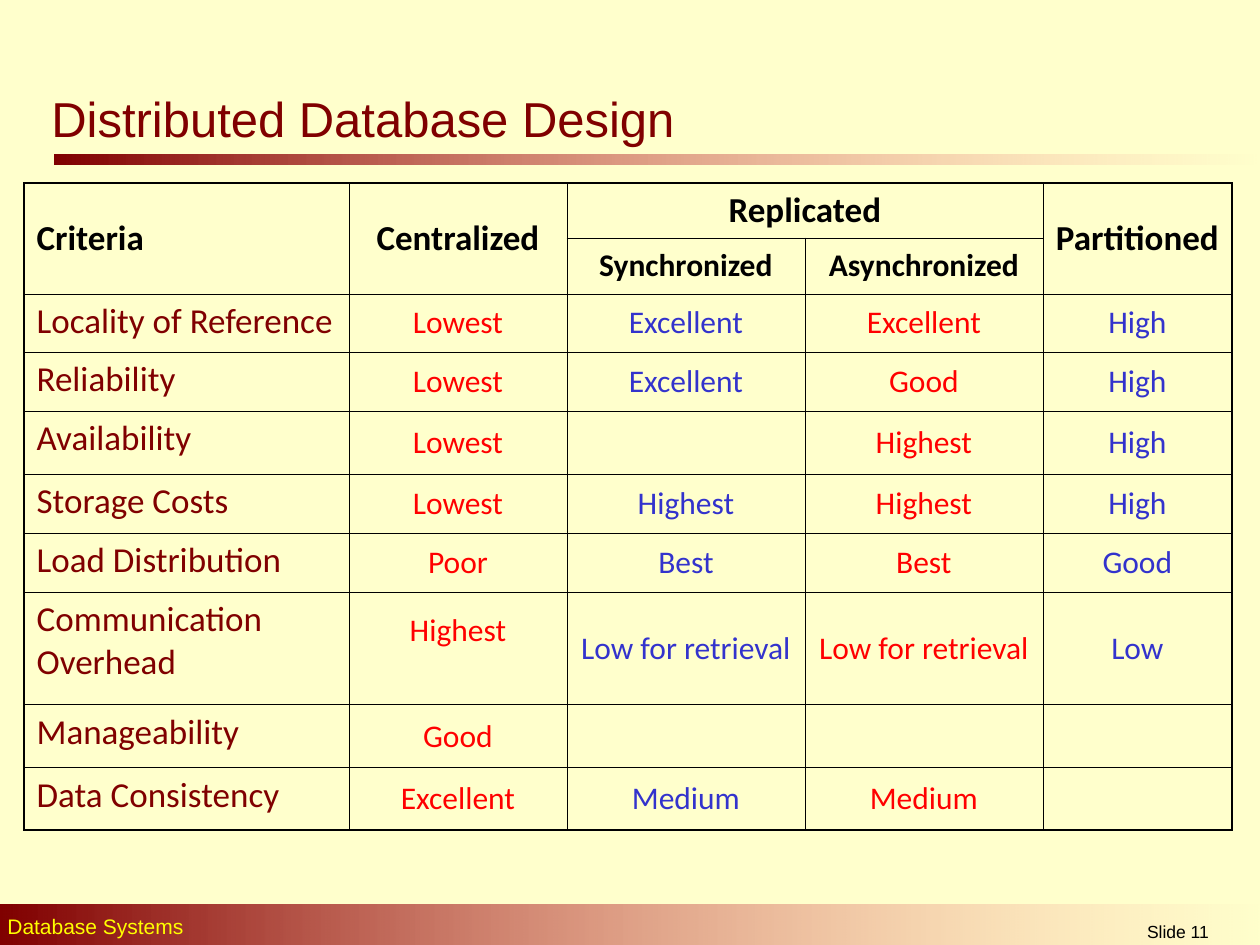
from lxml import etree
from pptx import Presentation
from pptx import util as u
from pptx.dml.color import RGBColor
from pptx.enum import shapes, text
from pptx.oxml.ns import qn

PX = u.Inches(1) / 126
CREAM = RGBColor(0xFF, 0xFF, 0xCC)
MAROON = RGBColor(0x80, 0x00, 0x00)
SALMON = RGBColor(0xFF, 0x85, 0x85)
YELLOW = RGBColor(0xFF, 0xFF, 0x00)
BLACK = RGBColor(0x00, 0x00, 0x00)
RED = RGBColor(0xFF, 0x00, 0x00)
BLUE = RGBColor(0x33, 0x33, 0xCC)

COLUMN_WIDTHS = [325, 218, 238, 238, 189]
ROW_HEIGHTS = [55, 56, 58, 59, 63, 59, 59, 113, 63, 62]
RATING_COLORS = [RED, BLUE, RED, BLUE]
HEADINGS = [
    ["Criteria", "Centralized", "Replicated", "", "Partitioned"],
    ["", "", "Synchronized", "Asynchronized", ""],
]
HEADING_SPANS = [(0, 0, 1, 0), (0, 1, 1, 1), (0, 2, 0, 3), (0, 4, 1, 4)]
RATINGS = [
    ["Locality of Reference", "Lowest", "Excellent", "Excellent", "High"],
    ["Reliability", "Lowest", "Excellent", "Good", "High"],
    ["Availability", "Lowest", "", "Highest", "High"],
    ["Storage Costs", "Lowest", "Highest", "Highest", "High"],
    ["Load Distribution", "Poor", "Best", "Best", "Good"],
    ["Communication Overhead", "Highest", "Low for retrieval", "Low for retrieval", "Low"],
    ["Manageability", "Good", "", "", ""],
    ["Data Consistency", "Excellent", "Medium", "Medium", ""],
]


def px(length):
    """Turn a length in px into EMU."""
    return u.Emu(round(length * PX))


def write(frame, wording, size, color, font="Arial", bold=False, align=text.PP_ALIGN.LEFT, before=0):
    """Put one formatted paragraph into a text frame."""
    frame.text = wording
    paragraph = frame.paragraphs[0]
    paragraph.alignment = align
    paragraph.space_before = u.Pt(before)
    for run in paragraph.runs:
        run.font.size = u.Pt(size)
        run.font.name = font
        run.font.bold = bold
        run.font.color.rgb = color


def add_label(slide, box, wording, size, color, anchor=text.MSO_ANCHOR.TOP, **style):
    """Add a wrapped text box with one line of text."""
    frame = slide.shapes.add_textbox(*map(px, box)).text_frame
    frame.word_wrap = True
    frame.vertical_anchor = anchor
    write(frame, wording, size, color, **style)


def add_fading_bar(slide, box):
    """Add a bar that fades from maroon to clear, left to right."""
    bar = slide.shapes.add_shape(shapes.MSO_SHAPE.RECTANGLE, *map(px, box))
    bar.shadow.inherit = False
    bar.line.fill.background()
    bar.fill.gradient()
    bar.fill.gradient_angle = 0
    for stop, color, position in zip(bar.fill.gradient_stops, (MAROON, SALMON), (0, 1)):
        stop.color.rgb = color
        stop.position = position
    end_color = bar._element.spPr.findall(".//" + qn("a:srgbClr"))[-1]
    etree.SubElement(end_color, qn("a:alpha"), val="0")


def add_header(slide, box):
    """Add the slide title and the rule below it."""
    left, top, width, height = box
    add_label(slide, (left, top, 735, 79), "Distributed Database Design", 28, MAROON,
              anchor=text.MSO_ANCHOR.MIDDLE)
    add_fading_bar(slide, (left + 15, top + height - 10, width - 15, 10))


def add_footer(slide, box):
    """Add the footer band with the course name and slide number."""
    left, top, width, height = box
    add_fading_bar(slide, box)
    add_label(slide, (left - 5, top + 2, 814, 38), "Database Systems", 12, YELLOW, before=7.5)
    add_label(slide, (left + 1047, top + 10, 262, 30), "Slide 11", 10, BLACK,
              align=text.PP_ALIGN.CENTER)


def draw_borders(cell, row, column):
    """Rule a cell with thin inner and thicker outer lines."""
    outer_sides = {
        "L": column == 0,
        "R": column == len(COLUMN_WIDTHS) - 1,
        "T": row == 0,
        "B": row == len(ROW_HEIGHTS) - 1,
    }
    properties = cell._tc.get_or_add_tcPr()
    for side, outer in outer_sides.items():
        width = u.Pt(1.08 if outer else 0.45)
        line = etree.SubElement(properties, qn(f"a:ln{side}"), w=str(int(width)))
        fill = etree.SubElement(line, qn("a:solidFill"))
        etree.SubElement(fill, qn("a:srgbClr"), val=str(BLACK))


def fill_cell(cell, row, column, wording):
    """Write and format one cell of the comparison."""
    draw_borders(cell, row, column)
    cell.fill.background()
    heading = row < len(HEADINGS)
    criterion = column == 0
    if heading or not criterion:
        cell.vertical_anchor = text.MSO_ANCHOR.MIDDLE
    if not wording:
        return
    size = 20 if criterion or row == 0 else 18
    color = BLACK if heading else MAROON if criterion else RATING_COLORS[column - 1]
    write(cell.text_frame, wording, size, color, font="Calibri", bold=heading, before=size / 4,
          align=text.PP_ALIGN.LEFT if criterion else text.PP_ALIGN.CENTER)


def add_comparison(slide, box):
    """Add the table that rates each design by each criterion."""
    rows = HEADINGS + RATINGS
    table = slide.shapes.add_table(len(rows), len(COLUMN_WIDTHS), *map(px, box)).table
    table.first_row = False
    table.horz_banding = False
    for column, width in zip(table.columns, COLUMN_WIDTHS):
        column.width = px(width)
    for row, height in zip(table.rows, ROW_HEIGHTS):
        row.height = px(height)
    for row, wordings in enumerate(rows):
        for column, wording in enumerate(wordings):
            fill_cell(table.cell(row, column), row, column, wording)
    for top, left, bottom, right in HEADING_SPANS:
        table.cell(top, left).merge(table.cell(bottom, right))
    table.cell(7, 1).margin_bottom = px(42)


def main():
    """Build and save the slide."""
    deck = Presentation()
    deck.slide_width, deck.slide_height = px(1260), px(945)
    slide = deck.slides.add_slide(deck.slide_layouts[6])
    slide.background.fill.solid()
    slide.background.fill.fore_color.rgb = CREAM
    add_header(slide, (39, 78, 1221, 87))
    add_footer(slide, (0, 905, 1264, 44))
    add_comparison(slide, (24, 183, sum(COLUMN_WIDTHS), sum(ROW_HEIGHTS)))
    deck.save("out.pptx")


if __name__ == "__main__":
    main()
